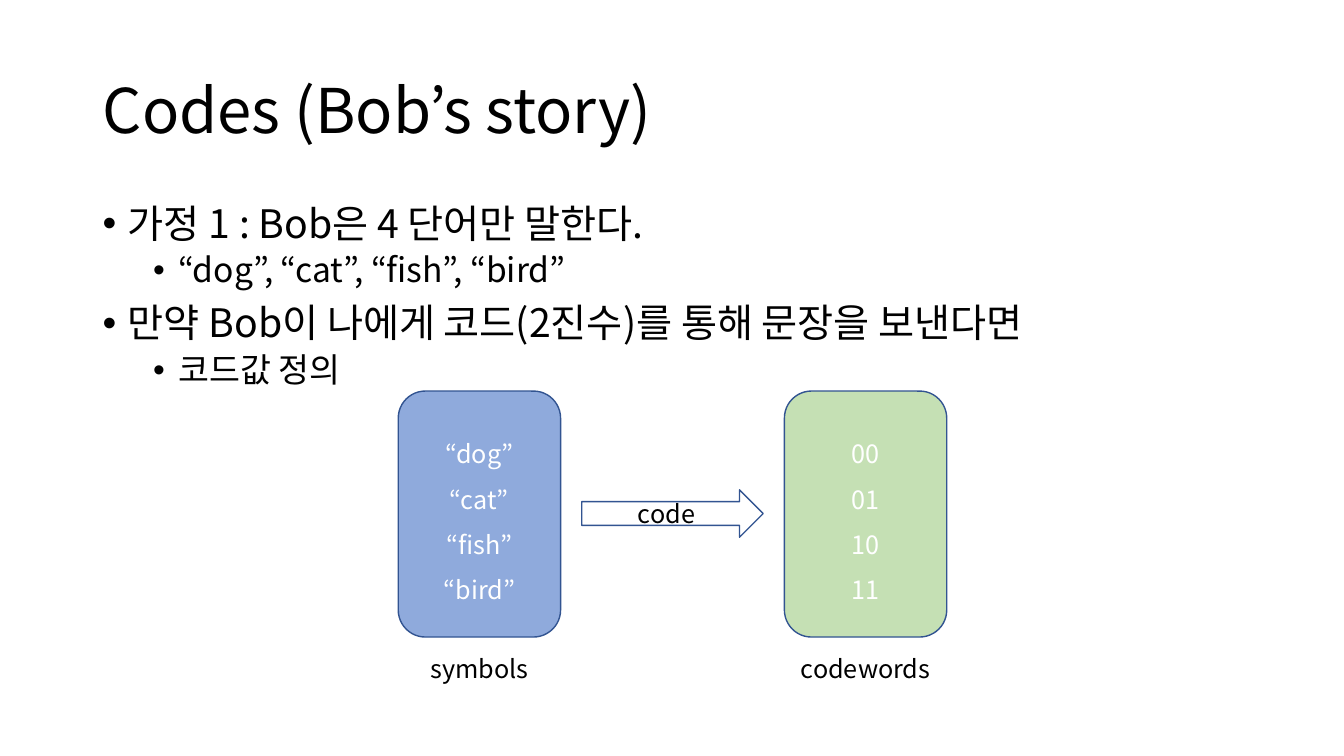
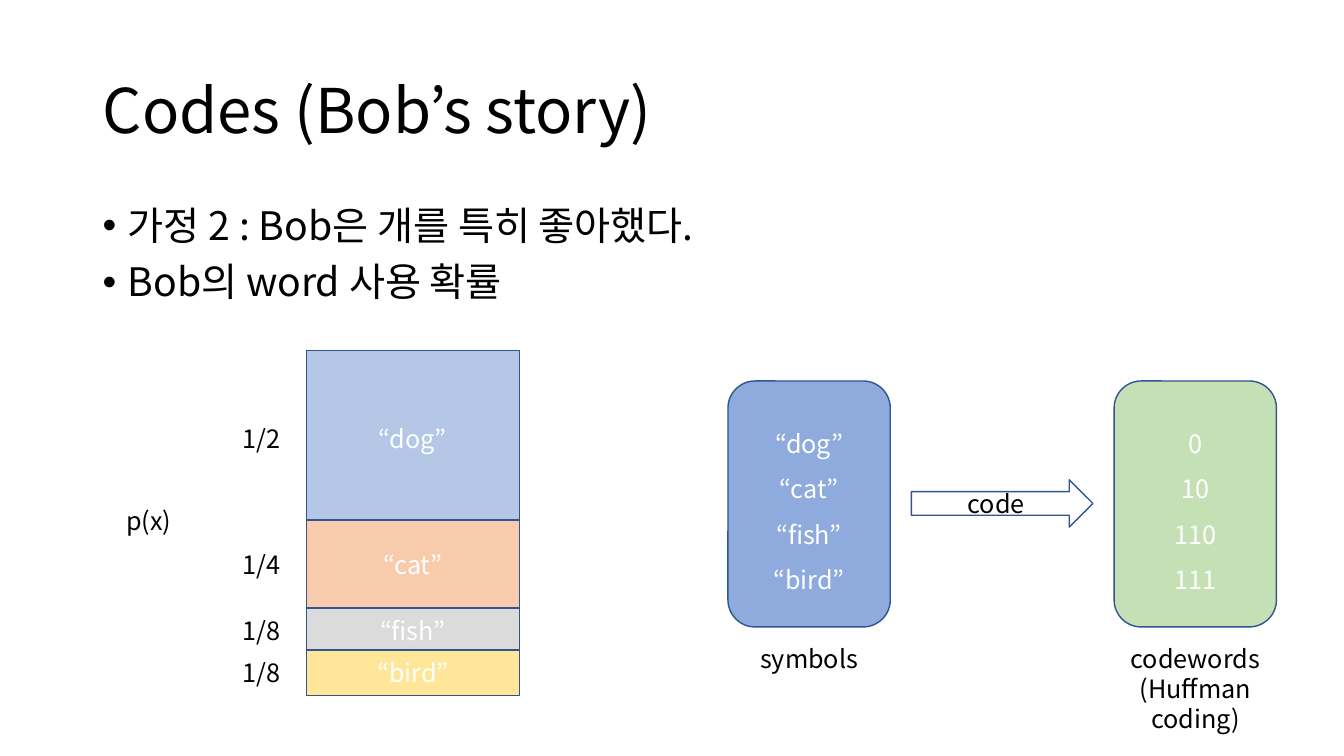
from lxml import etree
from pptx import Presentation
from pptx.dml.color import RGBColor
from pptx.enum.shapes import MSO_SHAPE as Shape
from pptx.enum.text import MSO_ANCHOR as Anchor, MSO_AUTO_SIZE as AutoSize, PP_ALIGN as Align
from pptx.oxml.ns import qn
from pptx.util import Pt

PX = 9144  # 100 px to the inch
FONT = "Noto Sans CJK KR"
BLACK, WHITE, OUTLINE = "000000", "FFFFFF", "325491"
SYMBOL_BLUE, CODEWORD_GREEN = "8FAADC", "C5E0B4"
WORDS = ["“dog”", "“cat”", "“fish”", "“bird”"]


def write(box, lines, size=18, color=BLACK, align=Align.CENTER, spacing=1.0, anchor=Anchor.TOP):
    frame = box.text_frame
    frame.word_wrap = True
    frame.auto_size = AutoSize.NONE
    frame.vertical_anchor = anchor
    frame.text = "\n".join(lines)
    for para in frame.paragraphs:
        para.alignment = align
        para.line_spacing = spacing
        for span in para.runs:
            span.font.size = Pt(size)
            span.font.name = FONT
            span.font.color.rgb = RGBColor.from_string(color)
            east_asian = etree.SubElement(span.font._element, qn("a:ea"))
            east_asian.set("typeface", FONT)


def add_box(page, kind, left, top, width, height, fill=None):
    """Add an outlined shape, or a plain text box when kind is None."""
    place = [length * PX for length in (left, top, width, height)]
    if kind is None:
        return page.shapes.add_textbox(*place)
    box = page.shapes.add_shape(kind, *place)
    box.shadow.inherit = False
    box.line.color.rgb = RGBColor.from_string(OUTLINE)
    box.line.width = Pt(1)
    if fill:
        box.fill.solid()
        box.fill.fore_color.rgb = RGBColor.from_string(fill)
    else:
        box.fill.background()
    return box


deck = Presentation()
deck.slide_width, deck.slide_height = 1333 * PX, 750 * PX

# Per slide: body top, bullets (level, text), diagram corner, codewords, caption
slides = [
    (198,
     [(0, "가정 1 : Bob은 4 단어만 말한다."),
      (1, "“dog”, “cat”, “fish”, “bird”"),
      (0, "만약 Bob이 나에게 코드(2진수)를 통해 문장을 보낸다면"),
      (1, "코드값 정의")],
     (395, 388), ["00", "01", "10", "11"], ["codewords"]),
    (200,
     [(0, "가정 2 : Bob은 개를 특히 좋아했다."),
      (0, "Bob의 word 사용 확률")],
     (722, 378), ["0", "10", "110", "111"], ["codewords", "(Huffman coding)"]),
]

for body_top, bullets, (left, top), codewords, caption in slides:
    page = deck.slides.add_slide(deck.slide_layouts[5])

    # Title
    title = page.shapes.title
    title.left, title.top, title.width, title.height = 92 * PX, 40 * PX, 1150 * PX, 145 * PX
    write(title, ["Codes (Bob’s story)"], 44, align=Align.LEFT, spacing=0.9, anchor=Anchor.MIDDLE)

    # Bulleted text
    body = add_box(page, None, 92, body_top, 1150, 476)
    write(body, [text for _, text in bullets], 28, align=Align.LEFT, spacing=0.9)
    for para, (level, _) in zip(body.text_frame.paragraphs, bullets):
        para.level = level
        para.space_before = Pt(5 if level else 10)
        para.runs[0].font.size = Pt(24 if level else 28)
        properties = para._p.get_or_add_pPr()
        properties.set("marL", str((25 + 50 * level) * PX))
        properties.set("indent", str(-25 * PX))
        etree.SubElement(properties, qn("a:buFont")).set("typeface", "Arial")
        etree.SubElement(properties, qn("a:buChar")).set("char", "•")

    # Symbols and codewords, each with a caption
    columns = [(left, SYMBOL_BLUE, WORDS, ["symbols"]),
               (left + 383, CODEWORD_GREEN, codewords, caption)]
    for column_left, fill, entries, label in columns:
        card = add_box(page, Shape.ROUNDED_RECTANGLE, column_left, top, 161, 244, fill)
        write(card, entries, color=WHITE, spacing=1.5, anchor=Anchor.MIDDLE)
        write(add_box(page, None, column_left, top + 255, 161, 40), label)

    # Arrow between them
    arrow = add_box(page, Shape.RIGHT_ARROW, left + 182, top + 98, 180, 47)
    write(arrow, ["code"], anchor=Anchor.MIDDLE)

# Probability bar on the last slide
bar_parts = [(348, 173, "B4C7E7", "1/2"), (516, 87, "F8CBAD", "1/4"),
             (603, 45, "DBDBDB", "1/8"), (645, 45, "FFE699", "1/8")]
for word, (top, height, fill, probability) in zip(WORDS, bar_parts):
    part = add_box(page, Shape.RECTANGLE, 304, top, 211, height, fill)
    write(part, [word], color=WHITE, anchor=Anchor.MIDDLE)
    write(add_box(page, None, 215, top, 89, height), [probability], anchor=Anchor.MIDDLE)
write(add_box(page, None, 67, 496, 161, 40), ["p(x)"])

deck.save("out.pptx")
